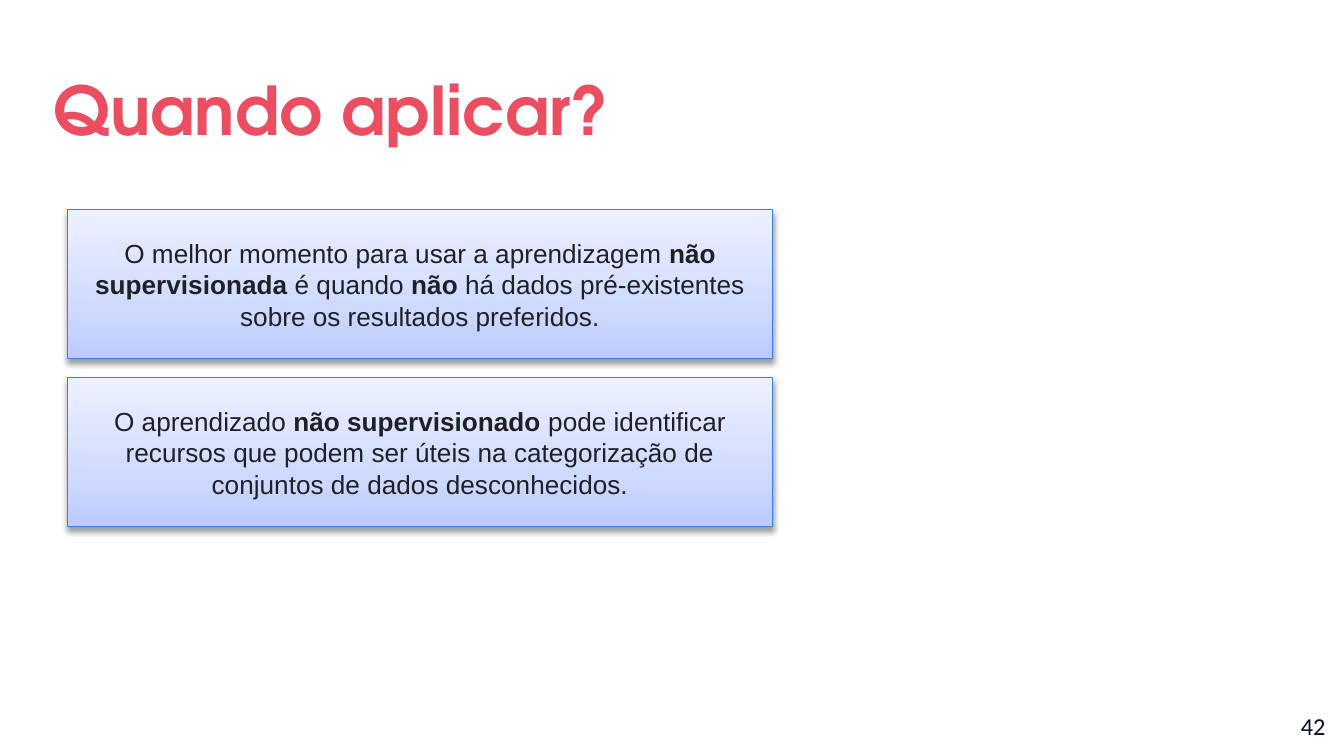
from lxml.etree import SubElement
from pptx import Presentation
from pptx.dml.color import RGBColor
from pptx.enum.shapes import MSO_SHAPE
from pptx.enum.text import MSO_ANCHOR, MSO_AUTO_SIZE, PP_ALIGN
from pptx.oxml.ns import qn
from pptx.util import Inches, Pt

COLOURS = {
    "title": "EA4E60",
    "number": "040A24",
    "text": "202124",
    "border": "3C81F3",
    "shadow": "000000",
    "bottom": "BBCBFF",
    "middle": "CFDAFF",
    "top": "EDF1FF",
}
GRADIENT = [(0, "bottom"), (35, "middle"), (100, "top")]
FORMATS = {
    "title": {"name": "TeX Gyre Adventor", "size": Pt(36), "bold": True},
    "number": {"name": "Calibri", "size": Pt(13)},
    "text": {"name": "Arial", "size": Pt(14)},
}

# Each card is a list of (text, bold) spans
CARDS = [
    [
        ("O melhor momento para usar a aprendizagem ", False),
        ("não supervisionada", True),
        (" é quando ", False),
        ("não", True),
        (" há dados pré-existentes sobre os resultados preferidos.", False),
    ],
    [
        ("O aprendizado ", False),
        ("não supervisionado", True),
        (" pode identificar recursos que podem ser úteis na categorização "
         "de conjuntos de dados desconhecidos.", False),
    ],
]
CARD_TOP, CARD_STEP = 1.56, 1.25


def add_span(para, text, style):
    span = para.add_run()
    span.text = text
    for name, value in FORMATS[style].items():
        setattr(span.font, name, value)
    span.font.color.rgb = RGBColor.from_string(COLOURS[style])
    return span


def prepare_frame(box, anchor, inset_x, inset_y):
    settings = {
        "word_wrap": True,
        "auto_size": MSO_AUTO_SIZE.NONE,
        "vertical_anchor": anchor,
        "margin_left": Inches(inset_x),
        "margin_right": Inches(inset_x),
        "margin_top": Inches(inset_y),
        "margin_bottom": Inches(inset_y),
    }
    for name, value in settings.items():
        setattr(box.text_frame, name, value)
    return box.text_frame.paragraphs[0]


def add_title(page, text):
    title = page.shapes.title
    title.left, title.top = Inches(0.3), Inches(0.32)
    title.width, title.height = Inches(8.99), Inches(1.8)
    para = prepare_frame(title, MSO_ANCHOR.TOP, 0.1, 0.1)
    para.alignment = PP_ALIGN.LEFT
    para.line_spacing = 1.15
    add_span(para, text, "title")


def add_page_number(page, text):
    box = page.shapes.add_textbox(Inches(9.36), Inches(5.19), Inches(0.6), Inches(0.43))
    para = prepare_frame(box, MSO_ANCHOR.TOP, 0.1, 0.1)
    para.alignment = PP_ALIGN.RIGHT
    add_span(para, text, "number")


def add_colour(parent, colour):
    return SubElement(parent, qn("a:srgbClr"), val=COLOURS[colour])


def fill_gradient(shape):
    shape.fill.gradient()
    shape.fill.gradient_angle = 90
    stops = shape._element.spPr.find(".//" + qn("a:gsLst"))
    for stop in list(stops):
        stops.remove(stop)
    for percent, colour in GRADIENT:
        add_colour(SubElement(stops, qn("a:gs"), pos=str(percent * 1000)), colour)


def add_shadow(shape):
    shape.shadow.inherit = False
    effects = shape._element.spPr.find(qn("a:effectLst"))
    shadow = SubElement(effects, qn("a:outerShdw"), blurRad=str(Pt(3.1)),
                        dist=str(Pt(1.6)), dir="5400000", rotWithShape="0")
    SubElement(add_colour(shadow, "shadow"), qn("a:alpha"), val="38000")


def add_card(page, top, spans):
    card = page.shapes.add_shape(
        MSO_SHAPE.RECTANGLE, Inches(0.5), Inches(top), Inches(5.25), Inches(1.11))
    fill_gradient(card)
    card.line.color.rgb = RGBColor.from_string(COLOURS["border"])
    card.line.width = Pt(0.75)
    add_shadow(card)
    para = prepare_frame(card, MSO_ANCHOR.MIDDLE, 0.1, 0.05)
    para.alignment = PP_ALIGN.CENTER
    for text, bold in spans:
        add_span(para, text, "text").font.bold = bold


def main():
    deck = Presentation()
    deck.slide_width = Inches(10)
    deck.slide_height = deck.slide_width * 9 // 16
    page = deck.slides.add_slide(deck.slide_layouts[5])  # Title only

    add_page_number(page, "42")
    add_title(page, "Quando aplicar?")
    for index, spans in enumerate(CARDS):
        add_card(page, CARD_TOP + index * CARD_STEP, spans)

    deck.save("out.pptx")


if __name__ == "__main__":
    main()
